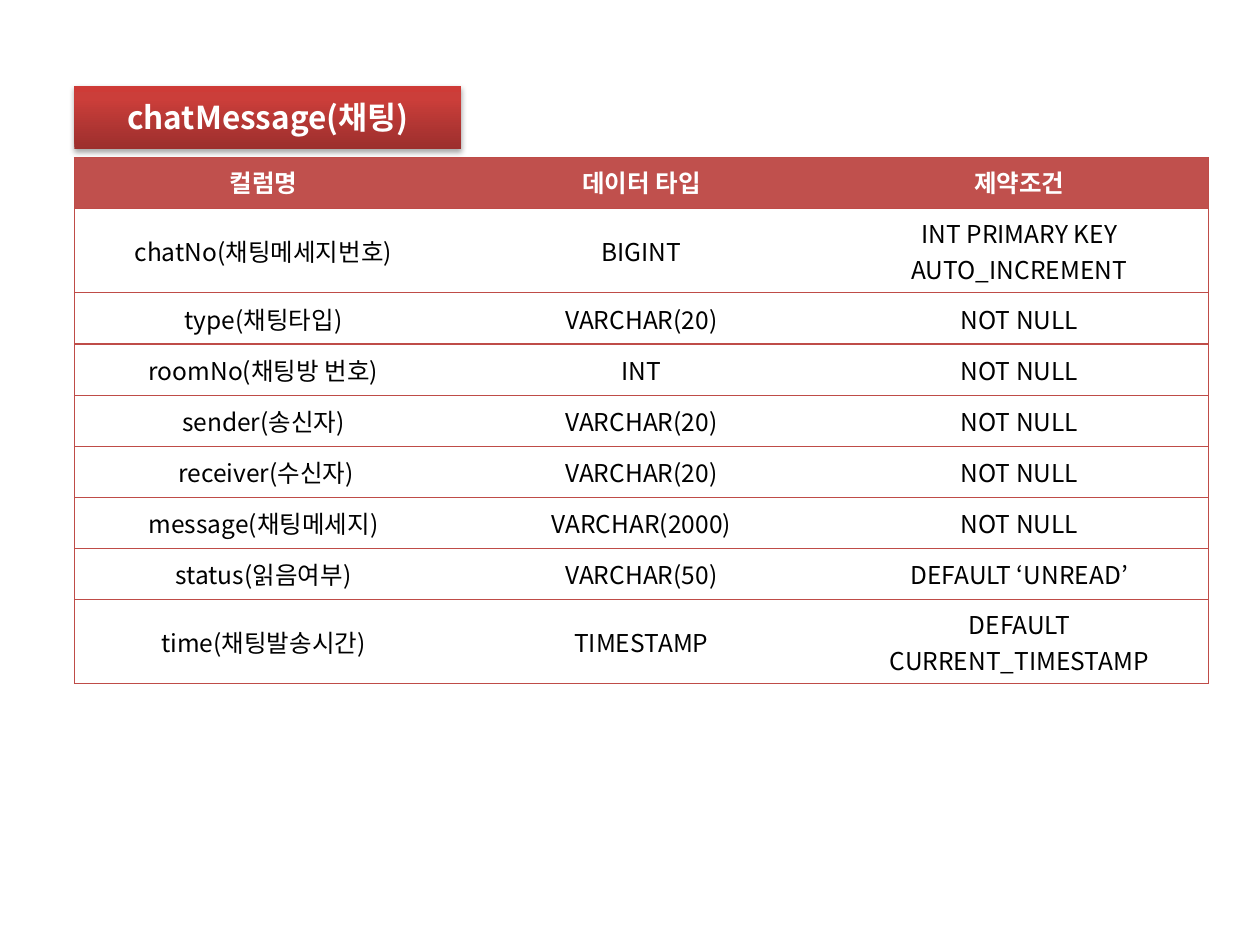
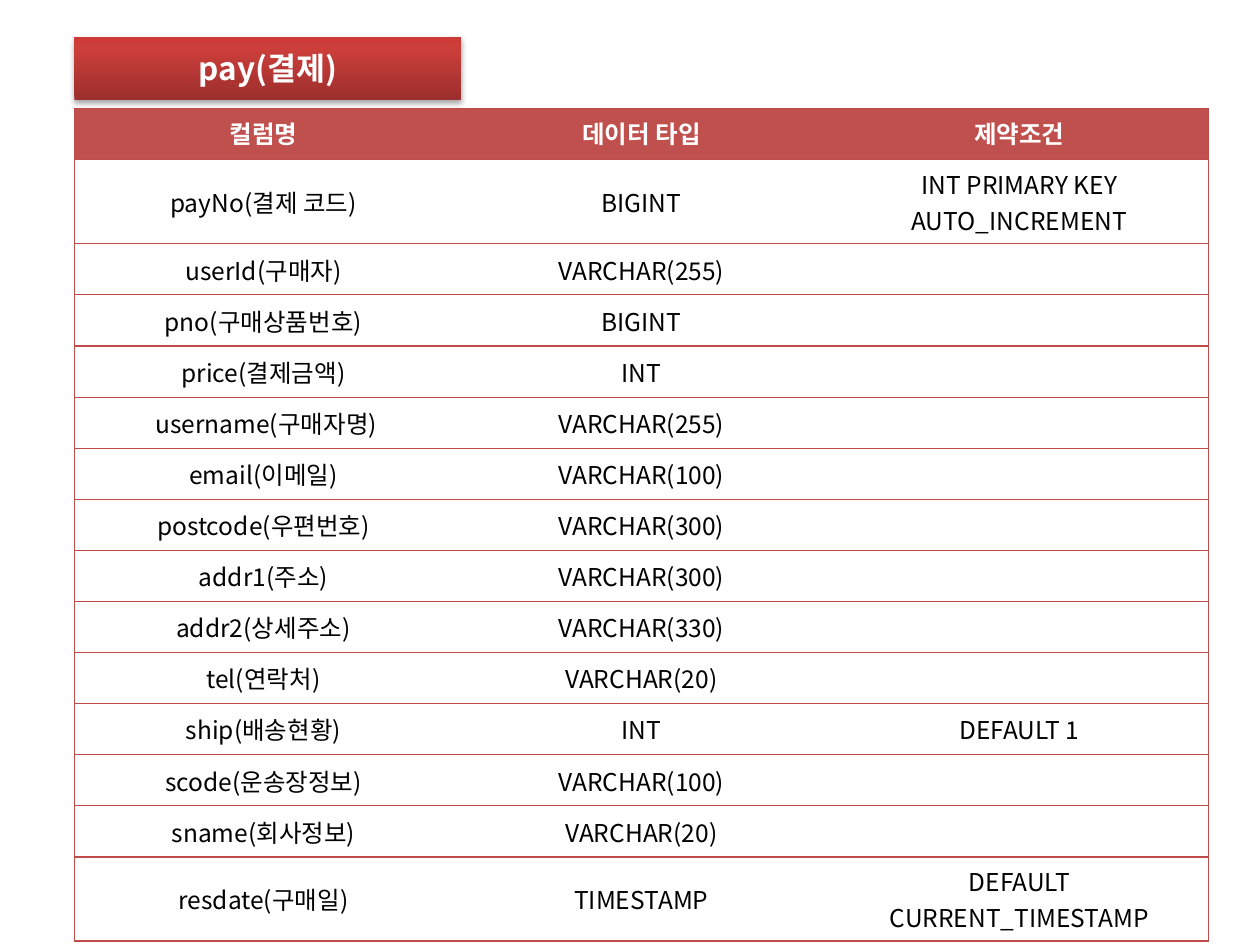
from dataclasses import dataclass

from lxml import etree
from pptx import Presentation
from pptx.dml.color import RGBColor
from pptx.enum import text as t
from pptx.oxml import ns, parse_xml
from pptx.util import Cm, Pt


@dataclass(frozen=True)
class Theme:
    """Colours, type sizes and measures shared by the slides."""
    font: str = "Noto Sans CJK KR"
    light: str = "FFFFFF"
    dark: str = "000000"
    header: str = "C0504D"
    border: str = "BF4C48"
    gradient: tuple = ((0, "9C2F2D"), (80, "CB3E3A"), (100, "CE3B37"))
    title_size: int = 18
    table_size: int = 14
    border_width: float = 0.75


THEME = Theme()
LEFT, TABLE_WIDTH, ROW_HEIGHT = Cm(1.5), Cm(22.86), Cm(1.03)
BADGE_WIDTH, BADGE_HEIGHT, BADGE_STEP = Cm(7.8), Cm(1.27), Cm(1.45)

HEADINGS = ("컬럼명", "데이터 타입", "제약조건")
PRIMARY_KEY = "INT PRIMARY KEY\nAUTO_INCREMENT"
NOW = "DEFAULT CURRENT_TIMESTAMP"

CHAT_ROWS = (
    ("chatNo(채팅메세지번호)", "BIGINT", PRIMARY_KEY),
    ("type(채팅타입)", "VARCHAR(20)", "NOT NULL"),
    ("roomNo(채팅방 번호)", "INT", "NOT NULL"),
    ("sender(송신자)", "VARCHAR(20)", "NOT NULL"),
    (" receiver(수신자)", "VARCHAR(20)", "NOT NULL"),
    ("message(채팅메세지)", "VARCHAR(2000)", "NOT NULL"),
    ("status(읽음여부)", "VARCHAR(50)", "DEFAULT ‘UNREAD’"),
    ("time(채팅발송시간)", "TIMESTAMP", NOW),
)
PAY_ROWS = (
    ("payNo(결제 코드)", "BIGINT", PRIMARY_KEY),
    ("userId(구매자)", "VARCHAR(255)", ""),
    ("pno(구매상품번호)", "BIGINT", ""),
    ("price(결제금액)", "INT", ""),
    (" username(구매자명)", "VARCHAR(255)", ""),
    ("email(이메일)", "VARCHAR(100)", ""),
    ("postcode(우편번호)", "VARCHAR(300)", ""),
    ("addr1(주소)", "VARCHAR(300)", ""),
    ("addr2(상세주소)", "VARCHAR(330)", ""),
    ("tel(연락처)", "VARCHAR(20)", ""),
    ("ship(배송현황)", "INT", "DEFAULT 1"),
    ("scode(운송장정보)", "VARCHAR(100)", ""),
    ("sname(회사정보)", "VARCHAR(20)", ""),
    ("resdate(구매일)", "TIMESTAMP", NOW),
)


def write_text(frame, content, size, colour, bold):
    """Write centred lines, one run to a paragraph."""
    for index, line in enumerate(content.split("\n")):
        paragraph = frame.paragraphs[0] if index == 0 else frame.add_paragraph()
        paragraph.alignment = t.PP_ALIGN.CENTER
        if not line:
            etree.SubElement(paragraph._p, ns.qn("a:endParaRPr"), sz=str(size * 100))
            continue
        run = paragraph.add_run()
        run.text = line
        font = run.font
        font.name, font.size, font.bold = THEME.font, Pt(size), bold
        font.color.rgb = RGBColor.from_string(colour)
        etree.SubElement(run._r.rPr, ns.qn("a:ea"), typeface=THEME.font)


def add_badge(slide, content, left, top, width, height):
    """Turn the title placeholder into a rounded gradient badge."""
    badge = slide.shapes.title
    badge.left, badge.top, badge.width, badge.height = left, top, width, height
    stops = "".join(f'<a:gs pos="{position * 1000}"><a:srgbClr val="{colour}"/></a:gs>'
                    for position, colour in THEME.gradient)
    parts = (
        '<a:prstGeom {ns}prst="roundRect"><a:avLst/></a:prstGeom>',
        '<a:gradFill {ns}rotWithShape="1"><a:gsLst>' + stops +
        '</a:gsLst><a:lin ang="16200000" scaled="0"/></a:gradFill>',
        '<a:effectLst {ns}><a:outerShdw blurRad="40000" dist="23000" dir="5400000" '
        'rotWithShape="0"><a:srgbClr val="000000"><a:alpha val="35000"/></a:srgbClr>'
        '</a:outerShdw></a:effectLst>',
    )
    for part in parts:
        badge.element.spPr.append(parse_xml(part.replace("{ns}", ns.nsdecls("a") + " ")))
    frame = badge.text_frame
    frame.word_wrap = True
    frame.auto_size = t.MSO_AUTO_SIZE.NONE
    frame.vertical_anchor = t.MSO_ANCHOR.MIDDLE
    write_text(frame, content, THEME.title_size, THEME.light, True)


def set_borders(cell, visible):
    """Draw the visible sides of a cell and clear the others."""
    properties = cell._tc.get_or_add_tcPr()
    for index, side in enumerate(("lnL", "lnR", "lnT", "lnB")):
        line = etree.Element(ns.qn(f"a:{side}"), w=str(Pt(THEME.border_width)))
        if side in visible:
            fill = etree.SubElement(line, ns.qn("a:solidFill"))
            etree.SubElement(fill, ns.qn("a:srgbClr"), val=THEME.border)
        else:
            etree.SubElement(line, ns.qn("a:noFill"))
        properties.insert(index, line)


def add_schema_table(slide, rows, left, top, width):
    """Place a column listing with a filled heading row and ruled body rows."""
    records = (HEADINGS, *rows)
    last = len(HEADINGS) - 1
    table = slide.shapes.add_table(len(records), len(HEADINGS), left, top, width,
                                   ROW_HEIGHT * len(records)).table
    table.horz_banding = False
    for row_index, record in enumerate(records):
        heading = row_index == 0
        table.rows[row_index].height = ROW_HEIGHT
        for column_index, content in enumerate(record):
            cell = table.cell(row_index, column_index)
            if heading:
                cell.fill.solid()
                cell.fill.fore_color.rgb = RGBColor.from_string(THEME.header)
            else:
                cell.fill.background()
                cell.vertical_anchor = t.MSO_ANCHOR.MIDDLE
            sides = {"lnT", "lnB"}
            if column_index == 0:
                sides.add("lnL")
            if column_index == last:
                sides.add("lnR")
            set_borders(cell, sides)
            write_text(cell.text_frame, content, THEME.table_size,
                       THEME.light if heading else THEME.dark, heading)


def add_schema_slide(presentation, title, rows, top):
    """Add a slide with a title badge and the table below it."""
    slide = presentation.slides.add_slide(presentation.slide_layouts[5])
    add_badge(slide, title, LEFT, top, BADGE_WIDTH, BADGE_HEIGHT)
    add_schema_table(slide, rows, LEFT, top + BADGE_STEP, TABLE_WIDTH)


def main():
    """Build and save the presentation."""
    presentation = Presentation()
    presentation.slide_width, presentation.slide_height = Cm(25.4), Cm(19.05)
    add_schema_slide(presentation, "chatMessage(채팅)", CHAT_ROWS, Cm(1.73))
    add_schema_slide(presentation, "pay(결제)", PAY_ROWS, Cm(0.74))
    presentation.save("out.pptx")


main()
